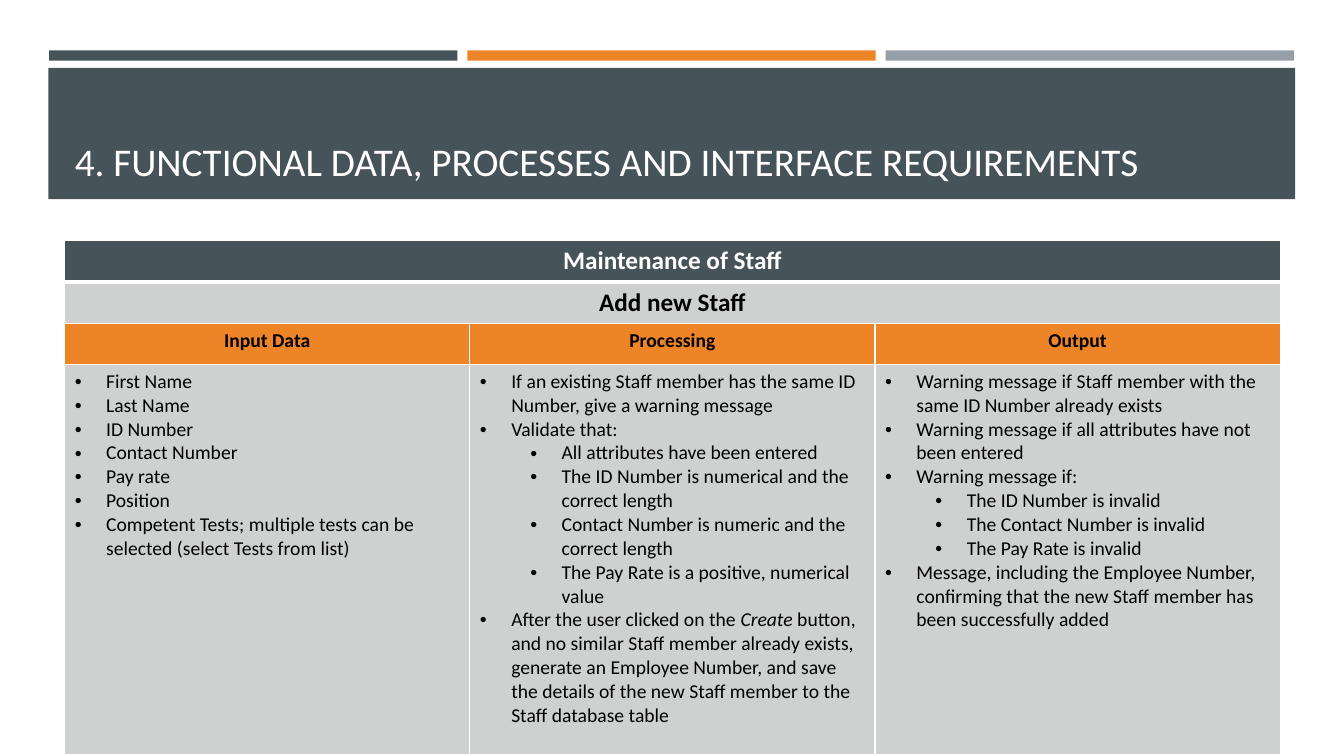
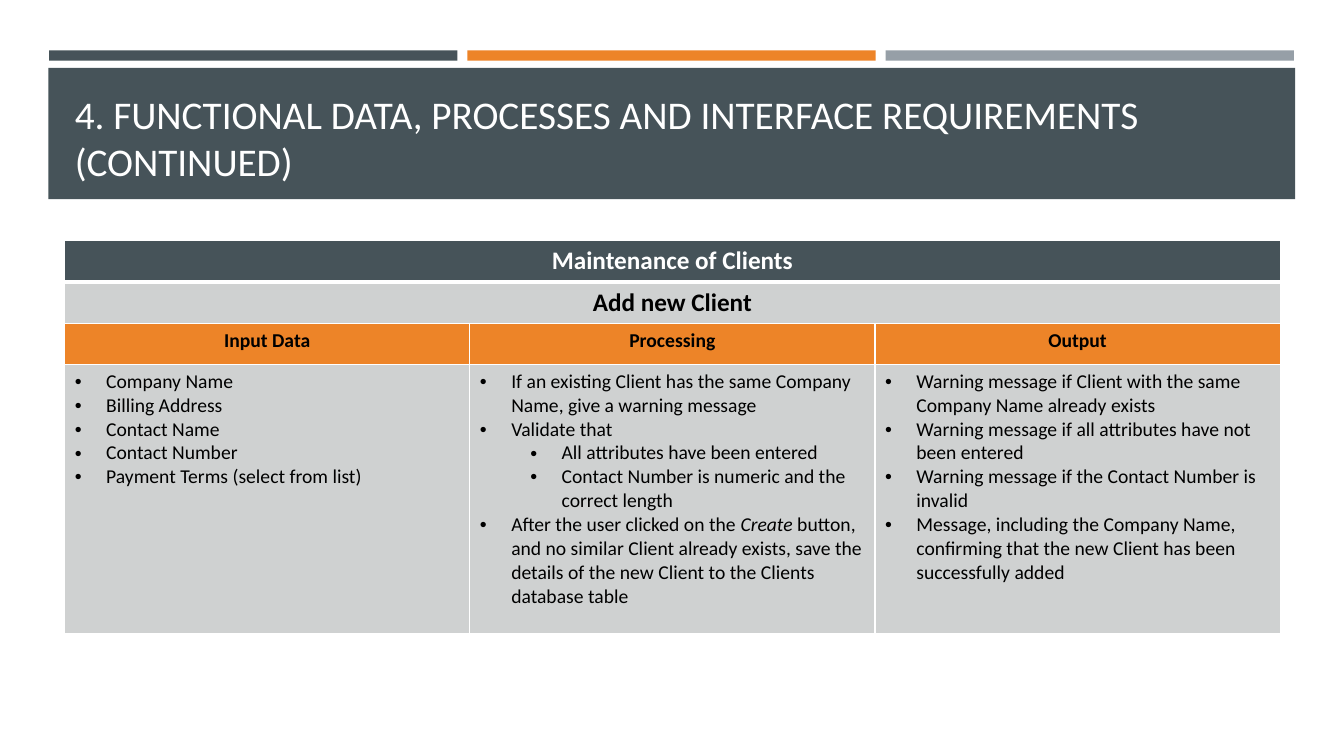
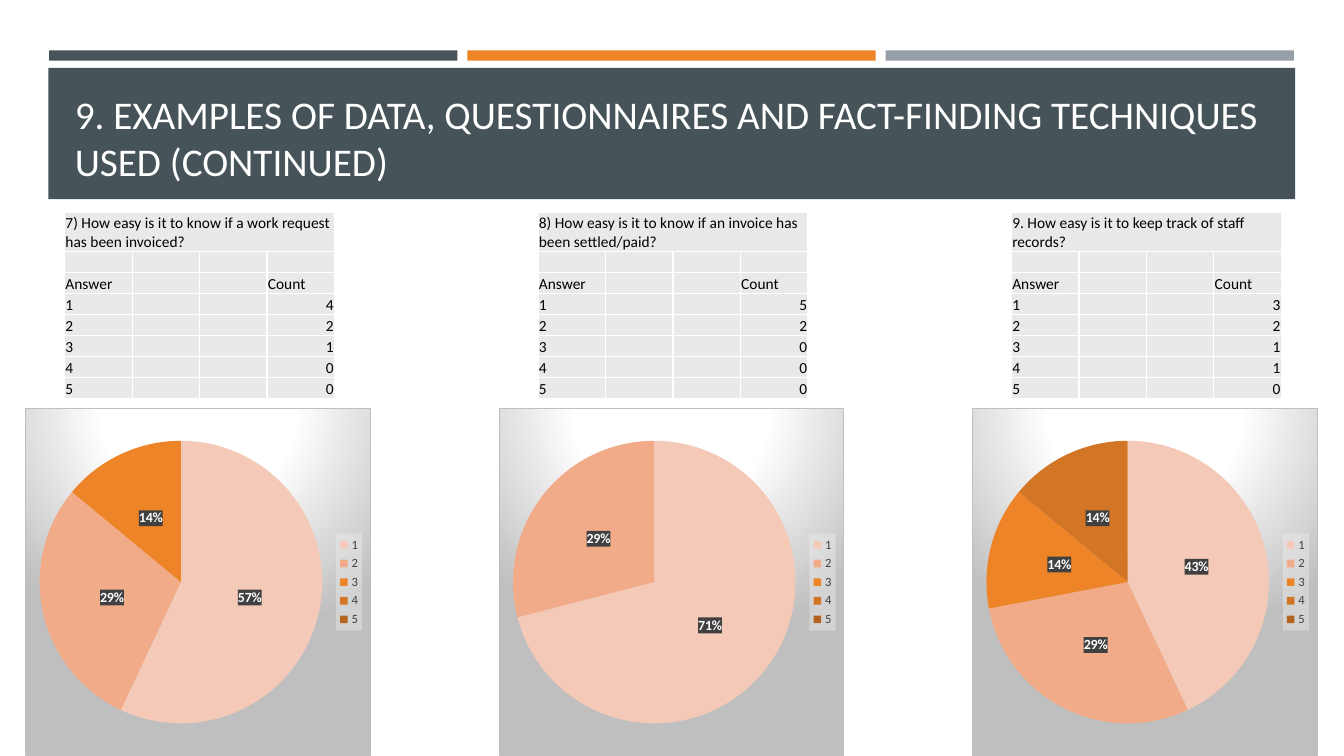
from pptx import Presentation
from pptx.chart.data import CategoryChartData
from pptx.dml.color import RGBColor
from pptx.enum.chart import XL_CHART_TYPE, XL_LABEL_POSITION, XL_LEGEND_POSITION
from pptx.enum.shapes import MSO_SHAPE
from pptx.enum.text import MSO_ANCHOR, MSO_AUTO_SIZE, PP_ALIGN
from pptx.oxml import parse_xml
from pptx.oxml.ns import nsdecls
from pptx.util import Cm, Pt

RECTANGLE = MSO_SHAPE.RECTANGLE
BOTTOM = MSO_ANCHOR.BOTTOM
NO_AUTOFIT = MSO_AUTO_SIZE.NONE
LEFT, CENTER, RIGHT = PP_ALIGN.LEFT, PP_ALIGN.CENTER, PP_ALIGN.RIGHT
PIE = XL_CHART_TYPE.PIE
LABEL_CENTER = XL_LABEL_POSITION.CENTER
LEGEND_RIGHT = XL_LEGEND_POSITION.RIGHT

FONT = "Calibri"
COLORS = {
    "slate": "465359", "orange": "ED8428", "steel": "969FA7",
    "white": "FFFFFF", "black": "000000", "cell": "CFD1D1",
    "survey": "E9E9EA", "charcoal": "404040", "silver": "BFBFBF", "mist": "F2F2F2",
}
SLICE_COLORS = ["F5C9B7", "F1AB89", "ED8428", "D27524", "B4641E"]
MARGIN = 1.63
CONTENT_WIDTH = 30.63


def rgb(name):
    return RGBColor.from_string(COLORS[name])


def style_cell(cell, fill, size, color="black", bold=False, align=LEFT, top=1, bottom=1):
    """Format the text already in the cell, its fill and its white borders."""
    cell.fill.solid()
    cell.fill.fore_color.rgb = rgb(fill)
    for paragraph in cell.text_frame.paragraphs:
        paragraph.alignment = align
        paragraph._p.get_or_add_endParaRPr().set("sz", str(size * 100))
        for run in paragraph.runs:
            run.font.name = FONT
            run.font.size = Pt(size)
            run.font.bold = bold
            run.font.color.rgb = rgb(color)
    borders = [("lnL", 1), ("lnR", 1), ("lnT", top), ("lnB", bottom)]
    for position, (side, points) in enumerate(borders):
        cell._tc.get_or_add_tcPr().insert(position, parse_xml(
            f'<a:{side} {nsdecls("a")} w="{Pt(points)}"><a:solidFill>'
            f'<a:srgbClr val="{COLORS["white"]}"/></a:solidFill></a:{side}>'))


deck = Presentation()
deck.slide_width, deck.slide_height = Cm(33.87), Cm(19.05)
layout = deck.slide_layouts[5]

# Titles
TITLES = [
    "4. FUNCTIONAL DATA, PROCESSES AND INTERFACE REQUIREMENTS",
    "4. FUNCTIONAL DATA, PROCESSES AND INTERFACE REQUIREMENTS (CONTINUED)",
    "9. EXAMPLES OF DATA, QUESTIONNAIRES AND FACT-FINDING TECHNIQUES USED (CONTINUED)",
]
slides = []
for heading in TITLES:
    slide = deck.slides.add_slide(layout)
    title = slide.shapes.title
    title.left, title.top = Cm(MARGIN), Cm(1.96)
    title.width, title.height = Cm(CONTENT_WIDTH), Cm(2.82)
    title.text_frame.text = heading
    title.text_frame.word_wrap = True
    title.text_frame.auto_size = NO_AUTOFIT
    title.text_frame.vertical_anchor = BOTTOM
    paragraph = title.text_frame.paragraphs[0]
    paragraph.alignment = LEFT
    font = paragraph.runs[0].font
    font.name, font.size = FONT, Pt(28)
    font.color.rgb = rgb("white")
    slides.append(slide)

# Bands, drawn once and moved to the layout that all slides share
bands = [(1.24 + 10.54 * i, 1.27, 10.29, 0.26, color)
         for i, color in enumerate(["slate", "orange", "steel"])]
bands.append((1.22, 1.71, 31.42, 3.31, "slate"))
for number, (left, top, width, height, color) in enumerate(bands):
    band = slides[0].shapes.add_shape(RECTANGLE, Cm(left), Cm(top), Cm(width), Cm(height))
    band.shadow.inherit = False
    band.fill.solid()
    band.fill.fore_color.rgb = rgb(color)
    band.line.fill.background()
    band._element.nvSpPr.cNvPr.set("id", str(101 + number))
    layout.shapes._spTree.insert(2 + number, band._element)

# Requirement tables: each bullet is (level, text), with italics between asterisks
REQUIREMENTS = [
    ("Maintenance of Staff", "Add new Staff", 3.87, [
        [(0, "First Name"),
         (0, "Last Name"),
         (0, "ID Number"),
         (0, "Contact Number"),
         (0, "Pay rate"),
         (0, "Position"),
         (0, "Competent Tests; multiple tests can be selected (select Tests from list)")],
        [(0, "If an existing Staff member has the same ID Number, give a warning message"),
         (0, "Validate that:"),
         (1, "All attributes have been entered"),
         (1, "The ID Number is numerical and the correct length"),
         (1, "Contact Number is numeric and the correct length"),
         (1, "The Pay Rate is a positive, numerical value"),
         (0, "After the user clicked on the *Create* button, and no similar Staff member "
             "already exists, generate an Employee Number, and save the details of the new "
             "Staff member to the Staff database table")],
        [(0, "Warning message if Staff member with the same ID Number already exists"),
         (0, "Warning message if all attributes have not been entered"),
         (0, "Warning message if:"),
         (1, "The ID Number is invalid"),
         (1, "The Contact Number is invalid"),
         (1, "The Pay Rate is invalid"),
         (0, "Message, including the Employee Number, confirming that the new Staff member "
             "has been successfully added")],
    ]),
    ("Maintenance of Clients", "Add new Client", 2.67, [
        [(0, "Company Name"),
         (0, "Billing Address"),
         (0, "Contact Name"),
         (0, "Contact Number"),
         (0, "Payment Terms (select from list)")],
        [(0, "If an existing Client has the same Company Name, give a warning message"),
         (0, "Validate that"),
         (1, "All attributes have been entered"),
         (1, "Contact Number is numeric and the correct length"),
         (0, "After the user clicked on the *Create* button, and no similar Client already "
             "exists, save the details of the new Client to the Clients database table")],
        [(0, "Warning message if Client with the same Company Name already exists"),
         (0, "Warning message if all attributes have not been entered"),
         (0, "Warning message if the Contact Number is invalid"),
         (0, "Message, including the Company Name, confirming that the new Client has been "
             "successfully added")],
    ]),
]
HEADER_HEIGHT = 1.04
for slide, (area, action, body_inches, columns) in zip(slides, REQUIREMENTS):
    row_heights = [HEADER_HEIGHT] * 3 + [body_inches * 2.54]
    table = slide.shapes.add_table(
        4, 3, Cm(MARGIN), Cm(6.07), Cm(CONTENT_WIDTH), Cm(sum(row_heights))).table
    table.first_row = table.horz_banding = False
    for row, height in zip(table.rows, row_heights):
        row.height = Cm(height)
    for row in range(2):
        table.cell(row, 0).merge(table.cell(row, 2))
    table.cell(0, 0).text_frame.text = area
    table.cell(1, 0).text_frame.text = action

    for col, (label, bullets) in enumerate(zip(["Input Data", "Processing", "Output"], columns)):
        table.cell(2, col).text_frame.text = label
        frame = table.cell(3, col).text_frame
        for index, (level, text) in enumerate(bullets):
            paragraph = frame.paragraphs[0] if index == 0 else frame.add_paragraph()
            paragraph.level = level
            properties = paragraph._p.get_or_add_pPr()
            properties.set("marL", str(Cm(0.79 + 1.27 * level)))
            properties.set("indent", str(Cm(-0.79)))
            properties.append(parse_xml(f'<a:buFont {nsdecls("a")} typeface="Arial"/>'))
            properties.append(parse_xml(f'<a:buChar {nsdecls("a")} char="•"/>'))
            for part, words in enumerate(text.split("*")):
                run = paragraph.add_run()
                run.text = words
                if part % 2:
                    run.font.italic = True
        style_cell(table.cell(0, col), "slate", 18, "white", True, CENTER, bottom=3)
        style_cell(table.cell(1, col), "cell", 18, bold=True, align=CENTER, top=3)
        style_cell(table.cell(2, col), "orange", 14, bold=True, align=CENTER)
        style_cell(table.cell(3, col), "cell", 14)

# Survey answers: a table of counts above a pie of percentages
SURVEY = [
    ("7) How easy is it to know if a work request has been invoiced?",
     [4, 2, 1, 0, 0], [57, 29, 14, 0, 0]),
    ("8) How easy is it to know if an invoice has been settled/paid?",
     [5, 2, 0, 0, 0], [71, 29, 0, 0, 0]),
    ("9. How easy is it to keep track of staff records?",
     [3, 2, 1, 1, 0], [43, 29, 14, 14, 0]),
]
ANSWERS = ["1", "2", "3", "4", "5"]
SURVEY_STEP = 11.93
QUESTION_HEIGHT, ANSWER_HEIGHT = 0.98, 0.53
survey_shapes = slides[2].shapes
for index, (question, counts, percentages) in enumerate(SURVEY):
    offset = SURVEY_STEP * index
    table = survey_shapes.add_table(
        8, 4, Cm(MARGIN + offset), Cm(5.36), Cm(6.8),
        Cm(QUESTION_HEIGHT + 7 * ANSWER_HEIGHT)).table
    table.first_row = table.horz_banding = False
    table.cell(0, 0).merge(table.cell(0, 3))
    table.cell(0, 0).text_frame.text = question
    pairs = [("Answer", "Count"), *zip(ANSWERS, counts)]
    for row, (answer, count) in enumerate(pairs, start=2):
        table.cell(row, 0).text_frame.text = answer
        table.cell(row, 3).text_frame.text = str(count)
    for row in range(8):
        table.rows[row].height = Cm(ANSWER_HEIGHT if row else QUESTION_HEIGHT)
        for col in range(4):
            cell = table.cell(row, col)
            cell.margin_left = cell.margin_right = cell.margin_top = Cm(0.02)
            cell.margin_bottom = 0
            cell.vertical_anchor = BOTTOM
            style_cell(cell, "survey", 11, align=RIGHT if row > 2 and col == 3 else LEFT)

    data = CategoryChartData()
    data.categories = ANSWERS
    data.add_series("Series 1", percentages)
    chart = survey_shapes.add_chart(
        PIE, Cm(0.64 + offset), Cm(10.29), Cm(8.71), Cm(8.76), data).chart
    chart.has_title = False
    chart.font.name, chart.font.size = FONT, Pt(10)
    chart.font.color.rgb = rgb("black")
    chart.has_legend = True
    legend = chart.legend
    legend.position = LEGEND_RIGHT
    legend.include_in_layout = False
    legend.font.name, legend.font.size = FONT, Pt(9)
    legend.font.color.rgb = rgb("charcoal")
    chart.plots[0].vary_by_categories = True

    series = chart.plots[0].series[0]
    for slice_number, color in enumerate(SLICE_COLORS):
        slice_fill = series.points[slice_number].format.fill
        slice_fill.solid()
        slice_fill.fore_color.rgb = RGBColor.from_string(color)
    labels = series.data_labels
    labels.show_percentage = True
    labels.show_value = False
    labels.number_format, labels.number_format_is_linked = "0%", False
    labels.position = LABEL_CENTER
    labels.font.name, labels.font.size, labels.font.bold = FONT, Pt(10), True
    labels.font.color.rgb = rgb("white")

    # Label and legend backgrounds, and no label on empty slices
    for text_properties, color, alpha in [
            (labels._element.find("{*}txPr"), "charcoal", 90),
            (legend._element.find("{*}txPr"), "mist", 39)]:
        text_properties.addprevious(parse_xml(
            f'<c:spPr {nsdecls("c", "a")}><a:solidFill><a:srgbClr val="{COLORS[color]}">'
            f'<a:alpha val="{alpha * 1000}"/></a:srgbClr></a:solidFill></c:spPr>'))
    empty_slices = [i for i, value in enumerate(percentages) if value == 0]
    for position, slice_number in enumerate(empty_slices):
        labels._element.insert(position, parse_xml(
            f'<c:dLbl {nsdecls("c")}><c:idx val="{slice_number}"/>'
            '<c:delete val="1"/></c:dLbl>'))

    # Pie placement and chart background
    plot_area = chart._chartSpace.chart.plotArea
    for automatic_layout in plot_area.findall("{*}layout"):
        plot_area.remove(automatic_layout)
    plot_area.insert(0, parse_xml(
        f'<c:layout {nsdecls("c")}><c:manualLayout><c:layoutTarget val="inner"/>'
        '<c:xMode val="edge"/><c:yMode val="edge"/><c:x val="0.04"/><c:y val="0.09"/>'
        '<c:w val="0.82"/><c:h val="0.82"/></c:manualLayout></c:layout>'))
    stops = "".join(
        f'<a:gs pos="{percent * 1000}"><a:srgbClr val="{COLORS[color]}"/></a:gs>'
        for percent, color in [(0, "white"), (39, "white"), (100, "silver")])
    chart._chartSpace.chart.addnext(parse_xml(
        f'<c:spPr {nsdecls("c", "a")}><a:gradFill><a:gsLst>{stops}</a:gsLst>'
        '<a:path path="circle"><a:fillToRect l="50000" t="-80000" r="50000" b="180000"/>'
        f'</a:path></a:gradFill><a:ln w="{Pt(0.75)}"><a:solidFill>'
        f'<a:srgbClr val="{COLORS["silver"]}"/></a:solidFill></a:ln></c:spPr>'))

deck.save("out.pptx")
